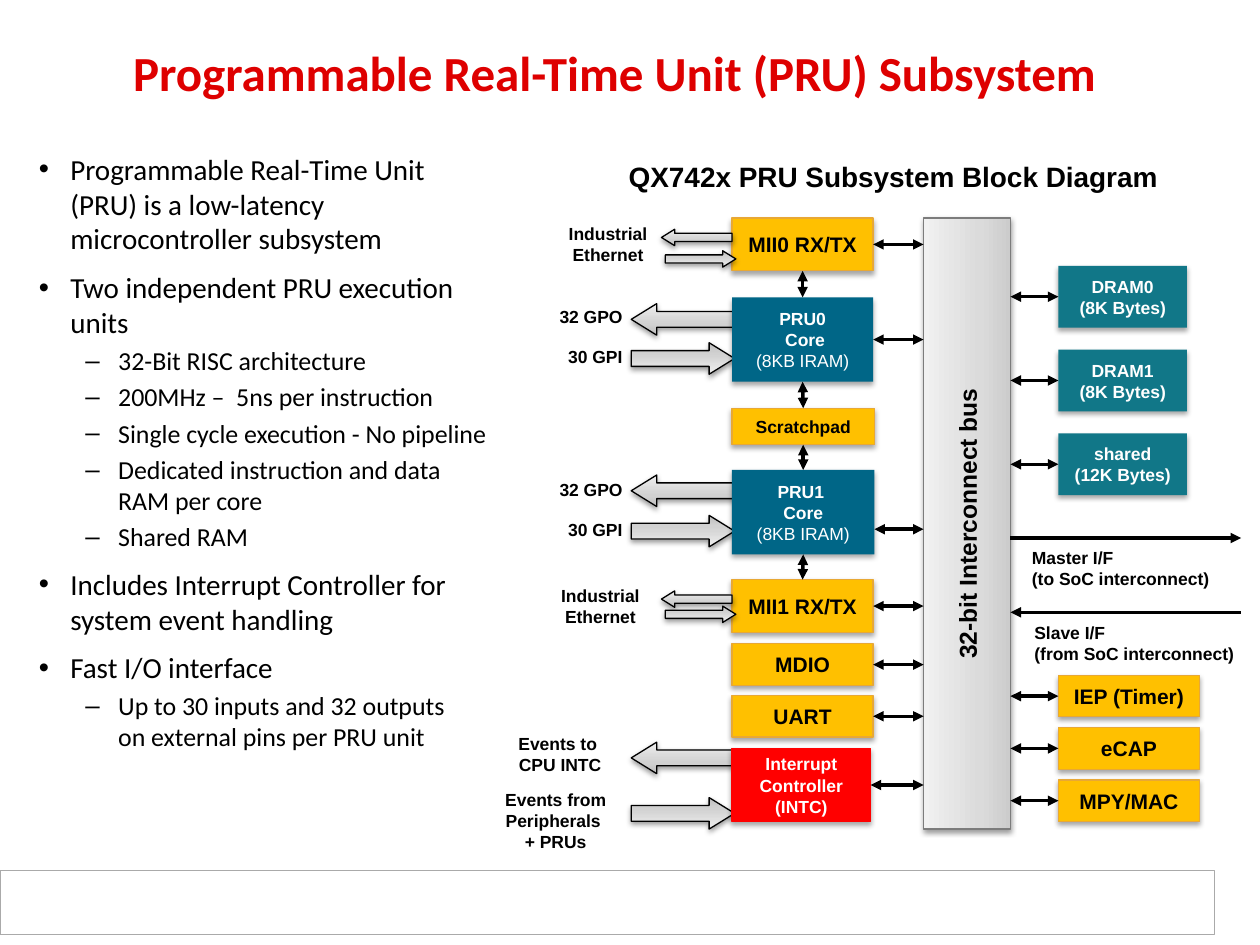
"""Build the slide on the PRU subsystem and its block diagram."""
from copy import deepcopy
from dataclasses import dataclass
from typing import NamedTuple, Optional

from lxml.etree import SubElement
from pptx import Presentation
from pptx.dml.color import RGBColor
from pptx.enum.shapes import MSO_CONNECTOR, MSO_SHAPE
from pptx.enum.text import MSO_ANCHOR, MSO_AUTO_SIZE, PP_ALIGN
from pptx.oxml.ns import qn
from pptx.util import Inches, Pt


class Style(NamedTuple):
    fill: str
    line: Optional[str]
    text: str
    size: float
    note_bold: bool = True


@dataclass(frozen=True)
class Theme:
    body_font: str = "Calibri"
    label_font: str = "Arial"
    title_size: float = 28
    bullet_sizes: tuple = (16.6, 14.8)
    heading_size: float = 16
    bus_size: float = 14
    label_size: float = 10
    title: str = "DE0000"
    ink: str = "000000"
    paper: str = "FFFFFF"
    footer_line: str = "AAAAAA"
    bus_line: str = "7C7C7C"
    arrow_stops: tuple = ((0, "BDBDBD"), (35, "D1D1D1"), (100, "EEEEEE"))
    bus_stops: tuple = ((0, "CCCCCC"), (35, "DBDBDB"), (100, "F1F1F1"))
    port: Style = Style("FFC000", "E8A835", "000000", 12)
    scratch: Style = Style("FFC000", "E8A835", "000000", 10)
    core: Style = Style("006687", None, "FFFFFF", 10, False)
    memory: Style = Style("117788", None, "FFFFFF", 10)
    interrupt: Style = Style("FF0000", "FF0000", "FFFFFF", 10)


class Block(NamedTuple):
    text: str
    left: float
    top: float
    width: float
    height: float
    style: Style
    note: str = ""
    link_y: Optional[float] = None


class Label(NamedTuple):
    text: str
    left: float
    top: float
    width: float
    height: float
    align: PP_ALIGN = PP_ALIGN.CENTER
    size: float = 10


THEME = Theme()
BUS_LEFT, BUS_RIGHT, BUS_TOP, BUS_HEIGHT = 7.33, 8.02, 1.73, 4.85
LEFT_X, RIGHT_X, PORT_WIDTH = 5.81, 8.4, 1.12
TOP, LEFT, BOTTOM, RIGHT = range(4)
LEFT_BLOCKS = (
    Block("MII0 RX/TX", LEFT_X, 1.73, PORT_WIDTH, 0.42, THEME.port),
    Block("PRU0\n Core", LEFT_X, 2.36, PORT_WIDTH, 0.67, THEME.core, "(8KB IRAM)"),
    Block("Scratchpad", LEFT_X, 3.24, 1.13, 0.29, THEME.scratch),
    Block("PRU1 \nCore", LEFT_X, 3.73, 1.13, 0.67, THEME.core, "(8KB IRAM)", 4.2),
    Block("MII1 RX/TX", LEFT_X, 4.6, PORT_WIDTH, 0.42, THEME.port),
    Block("MDIO", LEFT_X, 5.11, PORT_WIDTH, 0.33, THEME.port),
    Block("UART", LEFT_X, 5.52, PORT_WIDTH, 0.33, THEME.port),
    Block("Interrupt Controller (INTC)", LEFT_X, 5.94, 1.1, 0.58, THEME.interrupt))
MEMORIES = (("DRAM0", "(8K Bytes)"), ("DRAM1", "(8K Bytes)"), ("shared", "(12K Bytes)"))
RIGHT_BLOCKS = [Block(name, RIGHT_X, 2.11 + 0.665 * row, 1.02, 0.49, THEME.memory, note)
                for row, (name, note) in enumerate(MEMORIES)]
RIGHT_BLOCKS += [Block(name, RIGHT_X, 5.36 + 0.415 * row, PORT_WIDTH, 0.33, THEME.port)
                 for row, name in enumerate(("IEP (Timer)", "eCAP", "MPY/MAC"))]
LABELS = [
    Label("QX742x PRU Subsystem Block Diagram", 4.58, 1.27, 5.02, 0.27, size=THEME.heading_size),
    Label("Industrial Ethernet", 4.32, 1.77, 1.01, 0.34),
    Label("Industrial Ethernet", 4.26, 4.64, 1.01, 0.34),
    Label("Events to \nCPU INTC", 3.94, 5.82, 1.01, 0.34),
    Label("Events from Peripherals \n+ PRUs", 3.81, 6.26, 1.2, 0.5),
    Label("Master I/F \n(to SoC interconnect)", 8.19, 4.34, 1.47, 0.34, PP_ALIGN.LEFT),
    Label("Slave I/F\n(from SoC interconnect)", 8.21, 4.94, 1.64, 0.34, PP_ALIGN.LEFT)]
LABELS += [Label(text, 3.43, top + drop, 1.51, 0.17, PP_ALIGN.RIGHT)
           for top in (2.43, 3.8) for text, drop in (("32 GPO", 0), ("30 GPI", 0.32))]
BULLETS = (
    (0, "Programmable Real-Time Unit (PRU) is a low-latency microcontroller subsystem"),
    (0, "Two independent PRU execution units"),
    (1, "32-Bit RISC architecture"),
    (1, "200MHz –  5ns per instruction"),
    (1, "Single cycle execution - No pipeline"),
    (1, "Dedicated instruction and data \nRAM per core"),
    (1, "Shared RAM"),
    (0, "Includes Interrupt Controller for \nsystem event handling"),
    (0, "Fast I/O interface"),
    (1, "Up to 30 inputs and 32 outputs\non external pins per PRU unit"))


def write(frame, text: str, *, size: float, color: str = THEME.ink, bold: bool = True,
          font: str = THEME.label_font, align: PP_ALIGN = PP_ALIGN.CENTER):
    para = frame.add_paragraph() if frame.text else frame.paragraphs[0]
    para.text, para.alignment = text, align
    for span in para.runs:
        span.font.name, span.font.size, span.font.bold = font, Pt(size), bold
        span.font.color.rgb = RGBColor.from_string(color)
    for line_break in para._p.findall(qn("a:br")):
        line_break.insert(0, deepcopy(para.runs[0]._r.rPr))
    return para


def add_box(page, kind: MSO_SHAPE, bounds: tuple, line: Optional[str], *, fill: str = "",
            stops: tuple = (), shadow: tuple = ()):
    box = page.shapes.add_shape(kind, *map(Inches, bounds))
    box.shadow.inherit = False
    properties = box._element.spPr
    box.text_frame.word_wrap, box.text_frame.vertical_anchor = True, MSO_ANCHOR.MIDDLE
    if stops:
        box.fill.gradient()
        gradient = properties.find(qn("a:gradFill"))
        for child in list(gradient):
            gradient.remove(child)
        stop_list = SubElement(gradient, qn("a:gsLst"))
        for position, color in stops:
            stop = SubElement(stop_list, qn("a:gs"), pos=str(position * 1000))
            SubElement(stop, qn("a:srgbClr"), val=color)
        SubElement(gradient, qn("a:lin"), ang="16200000", scaled="0")
    else:
        box.fill.solid()
        box.fill.fore_color.rgb = RGBColor.from_string(fill)
    if line:
        box.line.color.rgb, box.line.width = RGBColor.from_string(line), Pt(0.75)
    else:
        box.line.fill.background()
    if shadow:
        alpha, distance = shadow
        cast = SubElement(properties.find(qn("a:effectLst")), qn("a:outerShdw"), blurRad=str(Pt(3.1)),
                          dist=str(Pt(distance)), dir="5400000", rotWithShape="0")
        SubElement(SubElement(cast, qn("a:srgbClr"), val=THEME.ink), qn("a:alpha"), val=str(alpha * 1000))
    return box


def add_block(page, block: Block):
    style = block.style
    box = add_box(page, MSO_SHAPE.RECTANGLE, block[1:5], style.line, fill=style.fill, shadow=(35, 1.8))
    write(box.text_frame, block.text, size=style.size, color=style.text)
    if block.note:
        write(box.text_frame, block.note, size=style.size, color=style.text, bold=style.note_bold)
    return box


def add_flows(page, lefts: tuple, tops: tuple, size: tuple) -> None:
    for left, top, angle in zip(lefts, tops, (0, 180)):
        arrow = add_box(page, MSO_SHAPE.LEFT_ARROW, (left, top, *size), THEME.ink,
                        stops=THEME.arrow_stops, shadow=(38, 1.6))
        arrow.adjustments[0], arrow.adjustments[1], arrow.rotation = 0.5, 0.808, angle


def add_link(page, start: tuple, end: tuple, ends: tuple = ("headEnd", "tailEnd")):
    link = page.shapes.add_connector(MSO_CONNECTOR.STRAIGHT, *map(Inches, start + end))
    link.line.color.rgb, link.line.width = RGBColor.from_string(THEME.ink), Pt(2)
    for end_name in ends:
        SubElement(link.line._get_or_add_ln(), qn(f"a:{end_name}"), type="triangle")
    SubElement(link._element.spPr, qn("a:effectLst"))
    return link


def add_bus_link(page, block: Block, box, bus_x: float, edge_x: float, side: int) -> None:
    y = block.link_y or block.top + block.height / 2
    link = add_link(page, (bus_x, y), (edge_x, y))
    if block.link_y is None:
        link.end_connect(box, side)


def add_frame(page, bounds: tuple):
    frame = page.shapes.add_textbox(*map(Inches, bounds)).text_frame
    frame.word_wrap = True
    return frame


def add_text(page) -> None:
    title = page.shapes.title
    title.left, title.top, title.width, title.height = map(Inches, (0.25, 0.16, 9.25, 0.89))
    title.text_frame.vertical_anchor = MSO_ANCHOR.MIDDLE
    write(title.text_frame, "Programmable Real-Time Unit (PRU) Subsystem", size=THEME.title_size,
          color=THEME.title, font=THEME.body_font).line_spacing = 0.85
    frame = add_frame(page, (0.21, 1.15, 3.82, 5.41))
    for index, (level, text) in enumerate(BULLETS):
        margin, indent, space, mark = ((0.25, -0.25, 8, "•"), (0.63, -0.26, 3, "–"))[level]
        para = write(frame, text, size=THEME.bullet_sizes[level], bold=False,
                     font=THEME.body_font, align=PP_ALIGN.LEFT)
        para.level, para.space_before = level, Pt(space) if index else None
        properties = para._p.get_or_add_pPr()
        properties.set("marL", str(Inches(margin)))
        properties.set("indent", str(Inches(indent)))
        SubElement(properties, qn("a:buFont"), typeface=THEME.label_font)
        SubElement(properties, qn("a:buChar"), char=mark)
    for label in LABELS:
        frame = add_frame(page, label[1:5])
        frame.auto_size = MSO_AUTO_SIZE.SHAPE_TO_FIT_TEXT
        frame.margin_left = frame.margin_right = frame.margin_top = frame.margin_bottom = 0
        write(frame, label.text, size=label.size, align=label.align)


def add_diagram(page) -> None:
    for tops in ((2.41, 2.72), (3.77, 4.09), (5.89, 6.33)):
        add_flows(page, (5.01, 5.01), tops, (0.82, 0.25))
    width = BUS_RIGHT - BUS_LEFT
    bounds = ((BUS_LEFT + BUS_RIGHT - BUS_HEIGHT) / 2, BUS_TOP + (BUS_HEIGHT - width) / 2, BUS_HEIGHT, width)
    bus = add_box(page, MSO_SHAPE.RECTANGLE, bounds, THEME.bus_line, stops=THEME.bus_stops, shadow=(38, 1.6))
    bus.rotation = 270
    write(bus.text_frame, "32-bit Interconnect bus", size=THEME.bus_size)
    left_boxes = [add_block(page, block) for block in LEFT_BLOCKS]
    for tops in ((1.82, 1.99), (4.69, 4.81)):
        add_flows(page, (5.25, 5.28), tops, (0.56, 0.13))
    for block, box in zip(LEFT_BLOCKS, left_boxes):
        if block.style != THEME.scratch:
            add_bus_link(page, block, box, BUS_LEFT, block.left + block.width, RIGHT)
    for block in RIGHT_BLOCKS:
        add_bus_link(page, block, add_block(page, block), BUS_RIGHT, block.left, LEFT)
    for upper, lower in zip(left_boxes[:4], left_boxes[1:5]):
        link = add_link(page, (0, 0), (0, 0))
        link.begin_connect(lower, TOP)
        link.end_connect(upper, BOTTOM)
    for y, end_name in ((4.27, "tailEnd"), (4.86, "headEnd")):
        add_link(page, (BUS_RIGHT, y), (9.85, y), (end_name,))


def main() -> None:
    deck = Presentation()
    deck.slide_width, deck.slide_height = Inches(10), Inches(7.5)
    page = deck.slides.add_slide(deck.slide_layouts[5])
    add_box(page, MSO_SHAPE.RECTANGLE, (0, 6.91, 9.64, 0.51), THEME.footer_line, fill=THEME.paper)
    add_text(page)
    add_diagram(page)
    deck.save("out.pptx")


if __name__ == "__main__":
    main()
